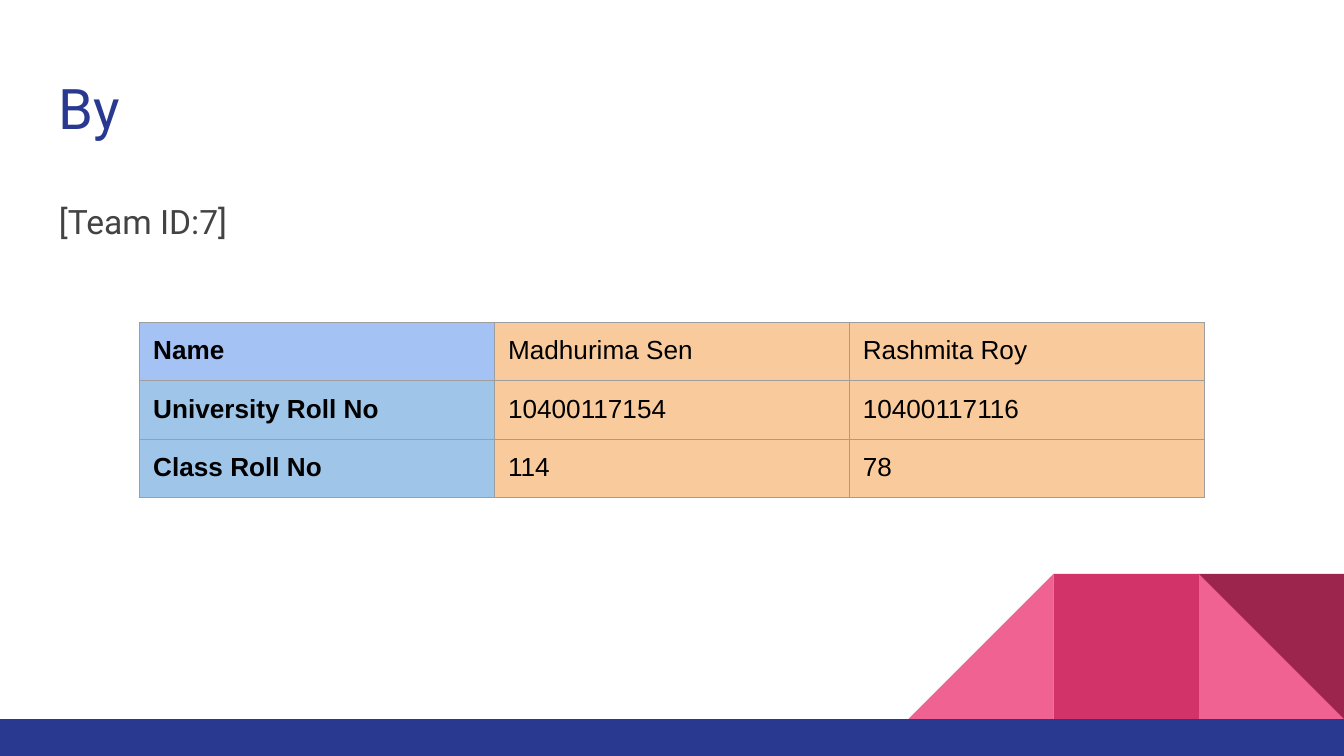
"""Build the team members slide."""
from pptx import Presentation
from pptx.dml.color import RGBColor
from pptx.enum import shapes, text
from pptx.oxml import ns, xmlchemy
from pptx.util import Inches, Pt

NAVY, PINK, MAGENTA, MAROON = "2A3990", "F06292", "D23369", "9C254D"
PEACH, GREY = "F9CB9C", "9E9E9E"
MEMBERS = [
    ("Name", "Madhurima Sen", "Rashmita Roy"),
    ("University Roll No", "10400117154", "10400117116"),
    ("Class Roll No", "114", "78"),
]
HEADINGS = ("A4C2F4", "9FC5E8", "9FC5E8")


def color(value):
    """Turn a hex string into a colour."""
    return RGBColor.from_string(value)


def write(frame, words, size, ink, font="Roboto", bold=False, spacing=None, after=None):
    """Put one formatted paragraph into a text frame."""
    frame.word_wrap = True
    frame.vertical_anchor = text.MSO_ANCHOR.TOP
    frame.margin_left = frame.margin_right = Inches(0.1)
    frame.margin_top = frame.margin_bottom = Inches(0.1)
    paragraph = frame.paragraphs[0]
    paragraph.line_spacing = spacing
    paragraph.space_after = after
    run = paragraph.add_run()
    run.text = words
    run.font.name = font
    run.font.size = Pt(size)
    run.font.bold = bold
    run.font.color.rgb = color(ink)


def add_text(slide, top, height, words, **style):
    """Add a text box across the content width."""
    box = slide.shapes.add_textbox(Inches(0.34), Inches(top), Inches(9.32), Inches(height))
    write(box.text_frame, words, **style)


def add_block(slide, kind, left, top, width, height, fill, turn=0, mirrored=False):
    """Add a flat, unlined decorative shape."""
    block = slide.shapes.add_shape(kind, Inches(left), Inches(top), Inches(width), Inches(height))
    block.shadow.inherit = False
    block.fill.solid()
    block.fill.fore_color.rgb = color(fill)
    block.line.fill.background()
    block.rotation = turn
    if mirrored:
        block._element.spPr.xfrm.set("flipH", "1")


def add_decoration(slide):
    """Draw the folded ribbon and the bar along the foot."""
    side, top = 1.08, 4.27
    triangle, rectangle = shapes.MSO_SHAPE.RIGHT_TRIANGLE, shapes.MSO_SHAPE.RECTANGLE
    left, middle, right = (10 - side * count for count in (3, 2, 1))
    add_block(slide, triangle, right, top, side, side, PINK)
    add_block(slide, triangle, left, top, side, side, PINK, mirrored=True)
    add_block(slide, rectangle, middle, top, side, side, MAGENTA)
    add_block(slide, triangle, right, top, side, side, MAROON, turn=180)
    add_block(slide, rectangle, 0, 5.35, 10, 0.28, NAVY)


def add_borders(cell, ink, points):
    """Line all four sides of a table cell."""
    properties = cell._tc.get_or_add_tcPr()
    for position, side in enumerate(("lnL", "lnR", "lnT", "lnB")):
        border = xmlchemy.OxmlElement(f"a:{side}")
        border.set("w", str(Pt(points)))
        fill = border.makeelement(ns.qn("a:solidFill"))
        fill.append(fill.makeelement(ns.qn("a:srgbClr"), {"val": ink}))
        border.append(fill)
        properties.insert(position, border)


def add_members(slide):
    """Add the table of members and roll numbers."""
    rows, columns = len(MEMBERS), len(MEMBERS[0])
    holder = slide.shapes.add_table(
        rows, columns, Inches(1.04), Inches(2.4), Inches(2.64 * columns), Inches(0.42 * rows)
    )
    holder.width = holder.height = Inches(3.28)
    for row, (values, heading) in enumerate(zip(MEMBERS, HEADINGS)):
        for column, value in enumerate(values):
            cell = holder.table.cell(row, column)
            is_heading = column == 0
            cell.fill.solid()
            cell.fill.fore_color.rgb = color(heading if is_heading else PEACH)
            cell.margin_left = cell.margin_right = Inches(0.1)
            cell.margin_top = cell.margin_bottom = Inches(0.1)
            write(cell.text_frame, value, 14, "000000", font="Arial", bold=is_heading)
            add_borders(cell, GREY, 0.75)


def main():
    """Build and save the slide."""
    deck = Presentation()
    deck.slide_width = Inches(10)
    deck.slide_height = deck.slide_width * 9 // 16
    slide = deck.slides.add_slide(deck.slide_layouts[6])
    add_decoration(slide)
    add_text(slide, 0.45, 0.66, "By", size=30, ink=NAVY)
    add_text(slide, 1.35, 3.65, "[Team ID:7]", size=18, ink="434343", spacing=1.15, after=Pt(16))
    add_members(slide)
    deck.save("out.pptx")


if __name__ == "__main__":
    main()
